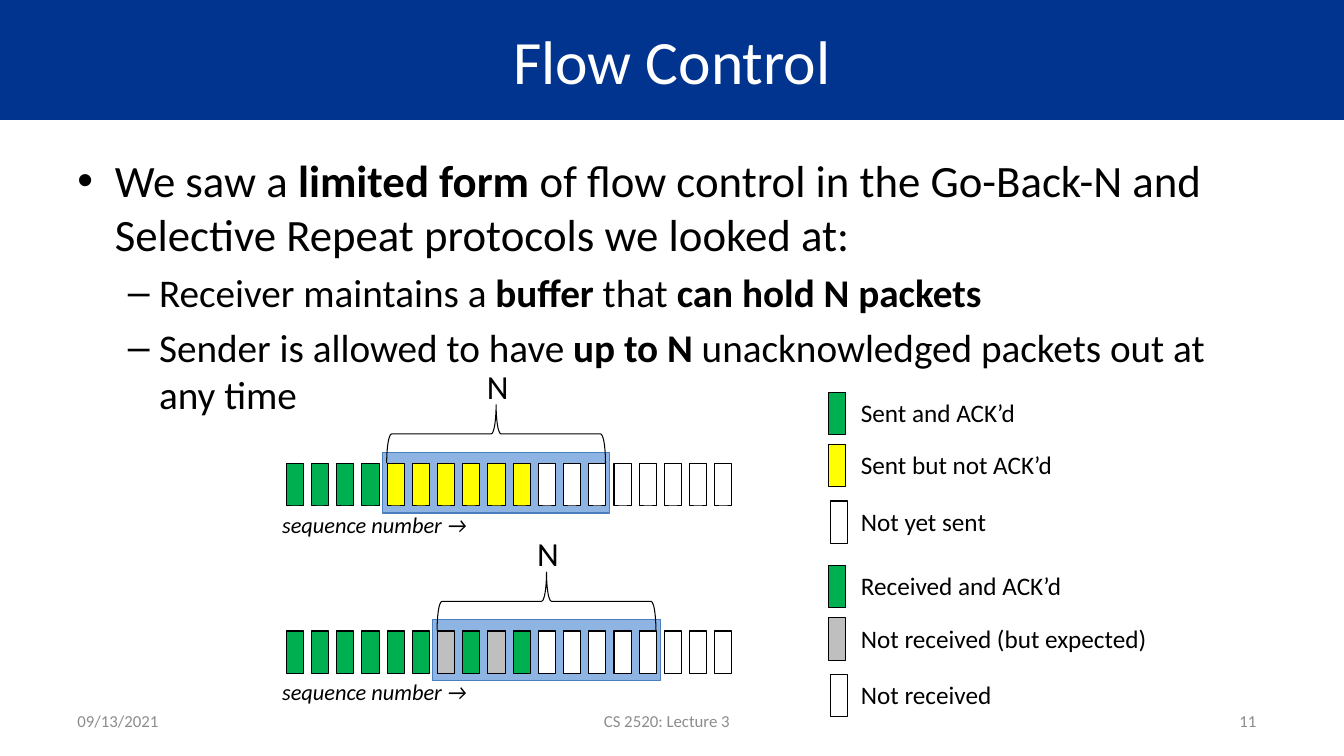
from pptx import Presentation
from pptx.dml.color import RGBColor
from pptx.enum.shapes import MSO_SHAPE
from pptx.enum.text import MSO_ANCHOR, PP_ALIGN
from pptx.oxml.ns import qn
from pptx.util import Inches, Pt
from lxml import etree

RECT, BRACE = MSO_SHAPE.RECTANGLE, MSO_SHAPE.LEFT_BRACE
TOP, MID = MSO_ANCHOR.TOP, MSO_ANCHOR.MIDDLE
LEFT, CENTER, RIGHT = PP_ALIGN.LEFT, PP_ALIGN.CENTER, PP_ALIGN.RIGHT

COLORS = {
    "navy": "00348F", "window": "8EB4E3", "edge": "4B7EBC",
    "green": "00B050", "yellow": "FFFF00", "gray": "BFBFBF",
    "white": "FFFFFF", "black": "000000", "muted": "8C8C8C",
}
CELL_W, CELL_H, STEP = 0.17, 0.42, 0.25


class Deck:
    def __init__(self, font):
        self.font = font
        self.prs = Presentation()
        self.prs.slide_width = Inches(13.33)
        self.prs.slide_height = Inches(7.5)
        self.slide = self.prs.slides.add_slide(self.prs.slide_layouts[5])

    def color(self, name):
        return RGBColor.from_string(COLORS[name])

    def style(self, run, size, color="black", bold=False, italic=False):
        font = run.font
        font.name, font.size = self.font, Pt(size)
        font.bold, font.italic = bold, italic
        font.color.rgb = self.color(color)

    def title(self, text, height):
        shape = self.slide.shapes.title
        shape.left = shape.top = Inches(0)
        shape.width, shape.height = self.prs.slide_width, Inches(height)
        shape.fill.solid()
        shape.fill.fore_color.rgb = self.color("navy")
        frame = shape.text_frame
        frame.text = text
        frame.vertical_anchor = MID
        para = frame.paragraphs[0]
        para.alignment = CENTER
        self.style(para.runs[0], 44, "white")

    def shape(self, kind, x, y, w, h, fill=None, line="black"):
        item = self.slide.shapes.add_shape(
            kind, Inches(x), Inches(y), Inches(w), Inches(h))
        item.shadow.inherit = False
        if fill:
            item.fill.solid()
            item.fill.fore_color.rgb = self.color(fill)
        else:
            item.fill.background()
        item.line.color.rgb = self.color(line)
        item.line.width = Pt(0.75)
        return item

    def frame(self, x, y, w, h, wrap=True):
        box = self.slide.shapes.add_textbox(
            Inches(x), Inches(y), Inches(w), Inches(h))
        box.text_frame.word_wrap = wrap
        return box.text_frame

    def label(self, text, x, y, w, h, size, color="black", italic=False,
              align=LEFT, anchor=TOP, wrap=True):
        frame = self.frame(x, y, w, h, wrap)
        frame.text = text
        frame.vertical_anchor = anchor
        para = frame.paragraphs[0]
        para.alignment = align
        self.style(para.runs[0], size, color, italic=italic)

    def bullets(self, items, x, y, w, h):
        frame = self.frame(x, y, w, h)
        for i, (level, parts) in enumerate(items):
            para = frame.add_paragraph() if i else frame.paragraphs[0]
            size, mark, left, hang = LEVELS[level]
            para.level = level
            para.space_before = Pt(size * 0.2)
            props = para._p.get_or_add_pPr()
            props.set("marL", str(Inches(left)))
            props.set("indent", str(-Inches(hang)))
            etree.SubElement(props, qn("a:buFont")).set("typeface", "Arial")
            etree.SubElement(props, qn("a:buChar")).set("char", mark)
            # Odd parts are bold
            for n, part in enumerate(parts):
                run = para.add_run()
                run.text = part
                self.style(run, size, bold=n % 2 == 1)

    def cell(self, x, y, fill):
        self.shape(RECT, x, y, CELL_W, CELL_H, fill)

    def buffer(self, y, start, groups):
        """Draw a packet row whose window of N cells begins at start."""
        left = 2.84 + start * STEP
        self.shape(RECT, left - 0.05, y - 0.11, 2.26, 0.6, "window", "edge")
        fills = [fill for fill, count in groups for _ in range(count)]
        for i, fill in enumerate(fills):
            self.cell(2.84 + i * STEP, y, fill)
        # The brace is turned a quarter, so place it by its centre
        mid = left + 1.08
        brace = self.shape(BRACE, mid - 0.29, y - 1.38, 0.58, 2.17)
        brace.rotation = 90
        self.label("N", mid - 0.19, y - 1.02, 0.42, 0.5, 24, wrap=False)
        self.label("sequence number →", 2.7, y + 0.42, 2.89, 0.37, 16,
                   italic=True)

    def legend(self, y, rows):
        for (fill, text), dx, dy in zip(rows, (0, 0, 0.02), (0, 0.52, 1.08)):
            self.cell(8.22 + dx, y + dy, fill)
            self.label(text, 8.44, y + dy, 3.07, 0.4, 18, wrap=False)


# Size, bullet, left margin, hanging indent
LEVELS = [(32, "•", 0.37, 0.37), (28, "–", 0.81, 0.31)]
POINTS = [
    (0, ["We saw a ", "limited form", " of flow control in the Go-Back-N "
         "and Selective Repeat protocols we looked at:"]),
    (1, ["Receiver maintains a ", "buffer", " that ", "can hold N packets"]),
    (1, ["Sender is allowed to have ", "up to N",
         " unacknowledged packets out at any time"]),
]
SENDER = [("green", 4), ("yellow", 6), ("white", 8)]
RECEIVER = [("green", 6), ("gray", 1), ("green", 1), ("gray", 1),
            ("green", 1), ("white", 8)]
FOOTER = [("09/13/2021", 0.67, 1.64, LEFT),
          ("CS 2520: Lecture 3", 2.05, 9.13, CENTER),
          ("11", 11.17, 1.39, RIGHT)]


def main():
    deck = Deck("Calibri")

    # Title and points
    deck.title("Flow Control", 1.19)
    deck.bullets(POINTS, 0.67, 1.47, 12, 2.57)

    # Sender and receiver buffers
    deck.buffer(4.6, 4, SENDER)
    deck.buffer(6.26, 6, RECEIVER)

    # Legends
    deck.legend(3.89, [("green", "Sent and ACK’d"),
                       ("yellow", "Sent but not ACK’d"),
                       ("white", "Not yet sent")])
    deck.legend(5.61, [("green", "Received and ACK’d"),
                       ("gray", "Not received (but expected)"),
                       ("white", "Not received")])

    # Footer
    for text, x, w, align in FOOTER:
        deck.label(text, x, 6.95, w, 0.4, 12, "muted", align=align, anchor=MID)

    deck.prs.save("out.pptx")


if __name__ == "__main__":
    main()
